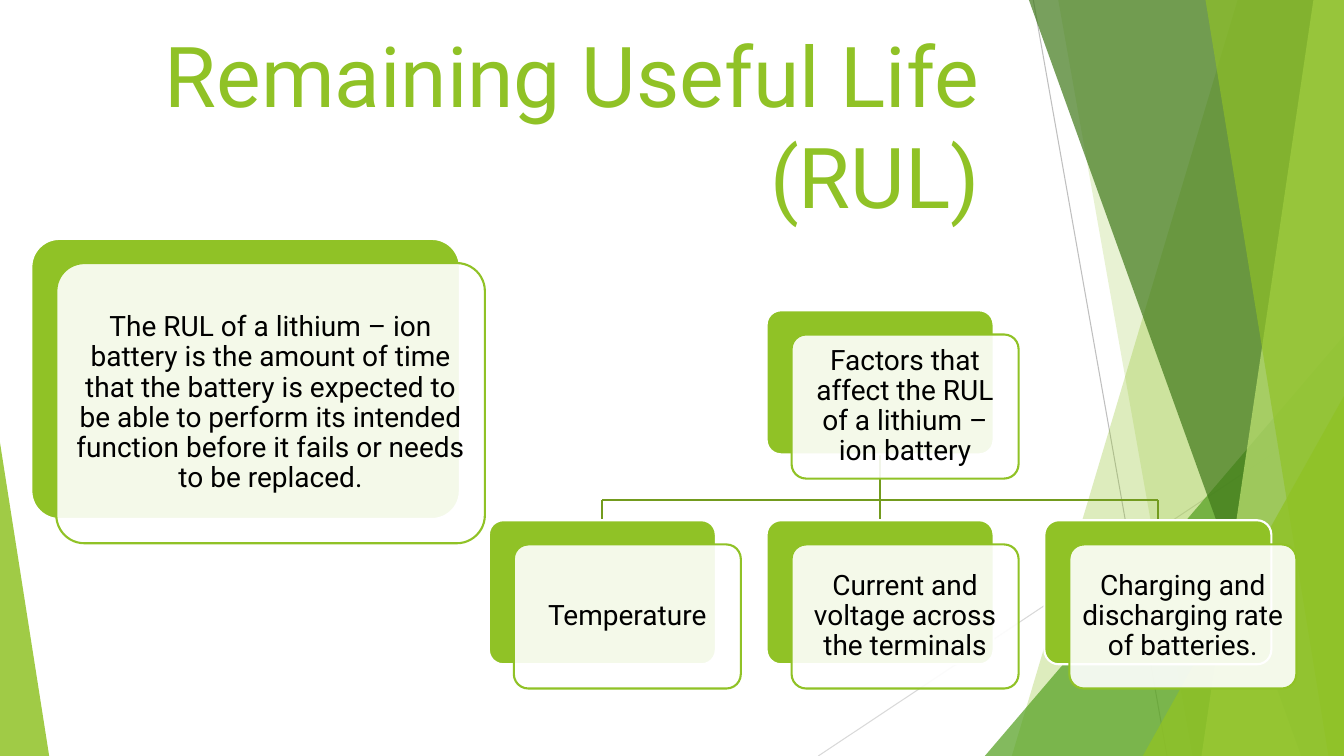
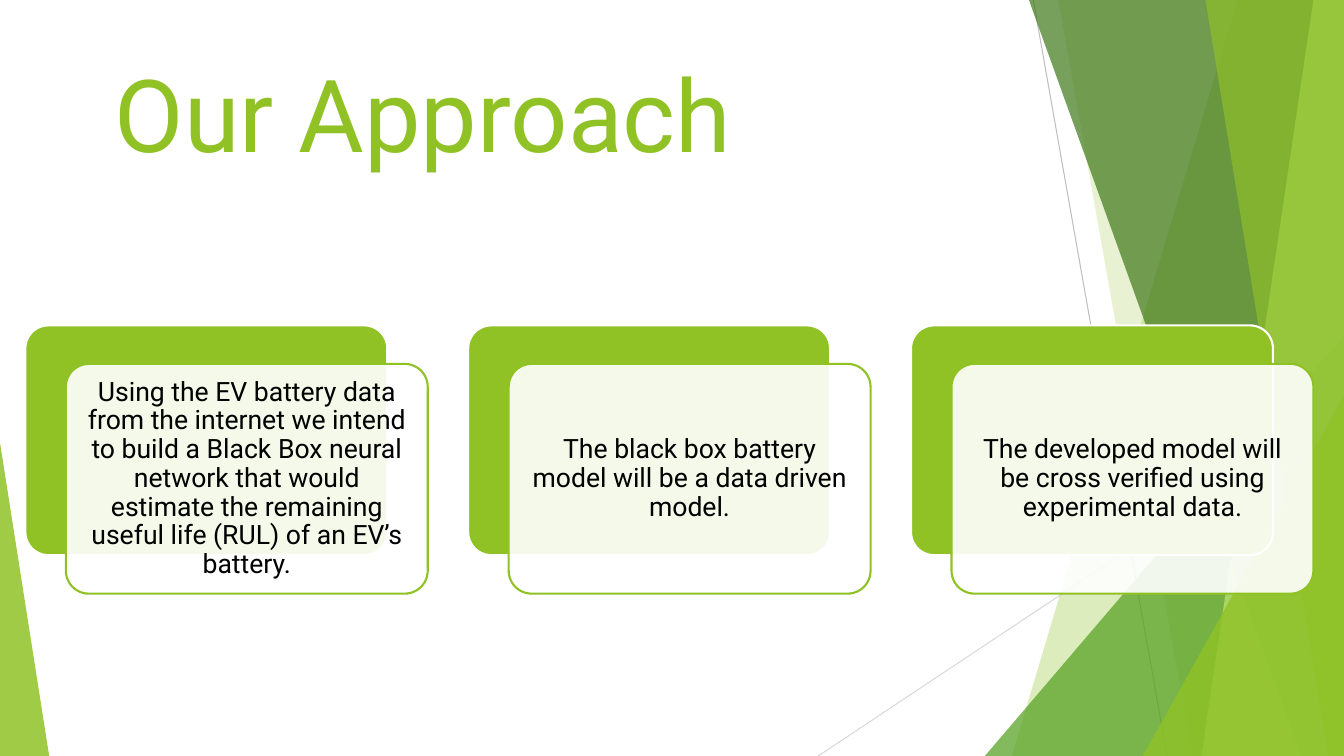
from dataclasses import dataclass

from lxml.etree import SubElement
from pptx import Presentation
from pptx.dml.color import RGBColor
from pptx.enum.shapes import MSO_CONNECTOR as Connector, MSO_SHAPE as Shape
from pptx.enum.text import MSO_ANCHOR as Anchor, MSO_AUTO_SIZE as AutoSize, PP_ALIGN as Align
from pptx.oxml.ns import qn
from pptx.util import Cm, Pt


@dataclass(frozen=True)
class Theme:
    font: str = "Roboto"
    green: str = "90C226"
    leaf: str = "54A021"
    forest: str = "3F7819"
    lime: str = "C0E474"
    branch: str = "739B1E"
    gray: str = "BFBFBF"
    pale_gray: str = "D9D9D9"
    white: str = "FFFFFF"
    black: str = "000000"
    hairline: float = 0.75
    outline: float = 1.5
    factor_size: int = 20
    step_size: int = 19


THEME = Theme()
WIDTH, HEIGHT = 33.87, 19.05
TOP, BOTTOM = 0, 2  # connection sites

# Content; lengths in centimetres
RUL = {
    "title": "Remaining Useful Life (RUL)",
    "definition": "The RUL of a lithium – ion battery is the amount of time that the battery "
                  "is expected to be able to perform its intended function before it fails "
                  "or needs to be replaced.",
    "parent": "Factors that affect the RUL of a lithium – ion battery",
    "factors": [
        "Temperature",
        "Current and voltage across the terminals",
        "Charging and discharging rate of batteries.",
    ],
}
APPROACH = {
    "title": "Our Approach",
    "steps": [
        "Using the EV battery data from the internet we intend to build a Black Box neural "
        "network that would estimate the remaining useful life (RUL) of an EV’s battery.",
        "The black box battery model will be a data driven model.",
        "The developed model will be cross verified using experimental data.",
    ],
}

# Backdrop, back to front: (kind, geometry, colour, opacity)
BACKDROP = [
    ("line", (26.04, 0, 29.41, HEIGHT), THEME.gray, 100),
    ("line", (WIDTH, 10.24, 20.62, HEIGHT), THEME.pale_gray, 100),
    ("band", (31.19, 25.5), THEME.green, 30),  # left edge at top and bottom
    ("band", (26.67, 30.05), THEME.green, 20),
    ("triangle", (24.82, 8.46, 9.05, 10.59, 1), THEME.leaf, 72),
    ("band", (25.93, 32.79), THEME.forest, 70),
    ("band", (33.1, 30.28), THEME.lime, 70),
    ("band", (30.38, 33.48), THEME.green, 65),
    ("triangle", (28.8, 9.98, 5.07, 9.07, 1), THEME.green, 80),
    ("triangle", (0, 11.15, 1.24, 7.9, 0), THEME.green, 85),
]


def rgb(color):
    return RGBColor.from_string(color)


def paint(shape, color, opacity=100, outline=None):
    shape.shadow.inherit = False
    shape.fill.solid()
    shape.fill.fore_color.rgb = rgb(color)
    if opacity < 100:
        fill_color = shape.element.xpath(".//a:solidFill/a:srgbClr")[0]
        SubElement(fill_color, qn("a:alpha")).set("val", str(opacity * 1000))
    if outline:
        shape.line.color.rgb = rgb(outline)
        shape.line.width = Pt(THEME.outline)
    else:
        shape.line.fill.background()


def draw_line(page, ends, color, weight):
    line = page.shapes.add_connector(Connector.STRAIGHT, *map(Cm, ends))
    line.line.color.rgb = rgb(color)
    line.line.width = Pt(weight)
    SubElement(line.element.spPr, qn("a:effectLst"))
    return line


def draw_band(page, top_x, bottom_x):
    outline = page.shapes.build_freeform(Cm(top_x), Cm(0))
    corners = [(WIDTH, 0), (WIDTH, HEIGHT), (bottom_x, HEIGHT)]
    outline.add_line_segments([(Cm(x), Cm(y)) for x, y in corners], close=True)
    return outline.convert_to_shape()


def draw_triangle(page, left, top, width, height, apex):
    triangle = page.shapes.add_shape(Shape.ISOSCELES_TRIANGLE, *map(Cm, (left, top, width, height)))
    triangle.adjustments[0] = apex
    return triangle


def build_backdrop(page):
    """Draw the facets once and hand them to the layout that all slides share."""
    layout_tree = page.slide_layout.shapes.element
    for number, (kind, geometry, color, opacity) in enumerate(BACKDROP):
        if kind == "line":
            shape = draw_line(page, geometry, color, THEME.hairline)
        else:
            draw = draw_band if kind == "band" else draw_triangle
            shape = draw(page, *geometry)
            paint(shape, color, opacity)
        shape.element.xpath(".//p:cNvPr")[0].set("id", str(100 + number))
        layout_tree.insert(2 + number, shape.element)


def set_title(page, text, place, size, align):
    title = page.shapes.title
    title.left, title.top, title.width, title.height = map(Cm, place)
    frame = title.text_frame
    frame.text = text
    frame.word_wrap = True
    frame.auto_size = AutoSize.NONE
    frame.vertical_anchor = Anchor.TOP
    para = frame.paragraphs[0]
    para.alignment = align
    para.font.name = THEME.font
    para.font.size = Pt(size)
    para.font.color.rgb = rgb(THEME.green)


def add_card(page, text, place, shift, size):
    """Add a green plate with a shifted text card on it; return the plate."""
    left, top, width, height = place
    plate, card = [
        page.shapes.add_shape(Shape.ROUNDED_RECTANGLE, *map(Cm, (left + dx, top + dy, width, height)))
        for dx, dy in ((0, 0), shift)
    ]
    for shape in (plate, card):
        shape.adjustments[0] = 0.1
    paint(plate, THEME.green, outline=THEME.white)
    paint(card, THEME.white, 90, THEME.green)

    frame = card.text_frame
    frame.text = text
    frame.word_wrap = True
    frame.vertical_anchor = Anchor.MIDDLE
    frame.margin_left = frame.margin_right = frame.margin_top = frame.margin_bottom = Cm(0.2)
    para = frame.paragraphs[0]
    para.alignment = Align.CENTER
    para.line_spacing = 0.9
    para.font.name = THEME.font
    para.font.size = Pt(size)
    para.font.color.rgb = rgb(THEME.black)
    return plate


def build_rul(page):
    set_title(page, RUL["title"], (-1.02, 0.46, 25.96, 4.34), 60, Align.RIGHT)
    shift, size = (0.63, 0.61), THEME.factor_size
    add_card(page, RUL["definition"], (0.79, 6.02, 10.8, 7.06), shift, size)

    # Tree: the parent stands over the middle factor
    left, pitch, width, height = 12.32, 7, 5.72, 3.63
    parent_top, bus_y, factor_top = 7.82, 12.6, 13.11
    parent = add_card(page, RUL["parent"], (left + pitch, parent_top, width, height), shift, size)
    factors = [
        add_card(page, text, (left + column * pitch, factor_top, width, height), shift, size)
        for column, text in enumerate(RUL["factors"])
    ]

    # Branches, sent behind the cards
    centers = [left + column * pitch + width / 2 for column in range(len(factors))]
    branches = [draw_line(page, (centers[0], bus_y, centers[-1], bus_y), THEME.branch, THEME.outline)]
    for column, (center, factor) in enumerate(zip(centers, factors)):
        middle = column == 1
        start = parent_top + height if middle else bus_y
        branch = draw_line(page, (center, start, center, factor_top), THEME.branch, THEME.outline)
        if middle:
            branch.begin_connect(parent, BOTTOM)
        branch.end_connect(factor, TOP)
        branches.append(branch)
    for branch in branches:
        page.shapes.element.insert(2, branch.element)


def build_approach(page):
    set_title(page, APPROACH["title"], (2.64, 1.17, 27.56, 3.61), 72, Align.LEFT)
    left, pitch = 0.64, 11.16
    for column, text in enumerate(APPROACH["steps"]):
        place = (left + column * pitch, 8.2, 9.12, 5.79)
        add_card(page, text, place, (1.02, 0.97), THEME.step_size)


def main():
    deck = Presentation()
    deck.slide_width, deck.slide_height = Cm(WIDTH), Cm(HEIGHT)
    title_only = deck.slide_layouts[5]
    for number, build in enumerate((build_rul, build_approach)):
        page = deck.slides.add_slide(title_only)
        if number == 0:
            build_backdrop(page)
        build(page)
    deck.save("out.pptx")


if __name__ == "__main__":
    main()
